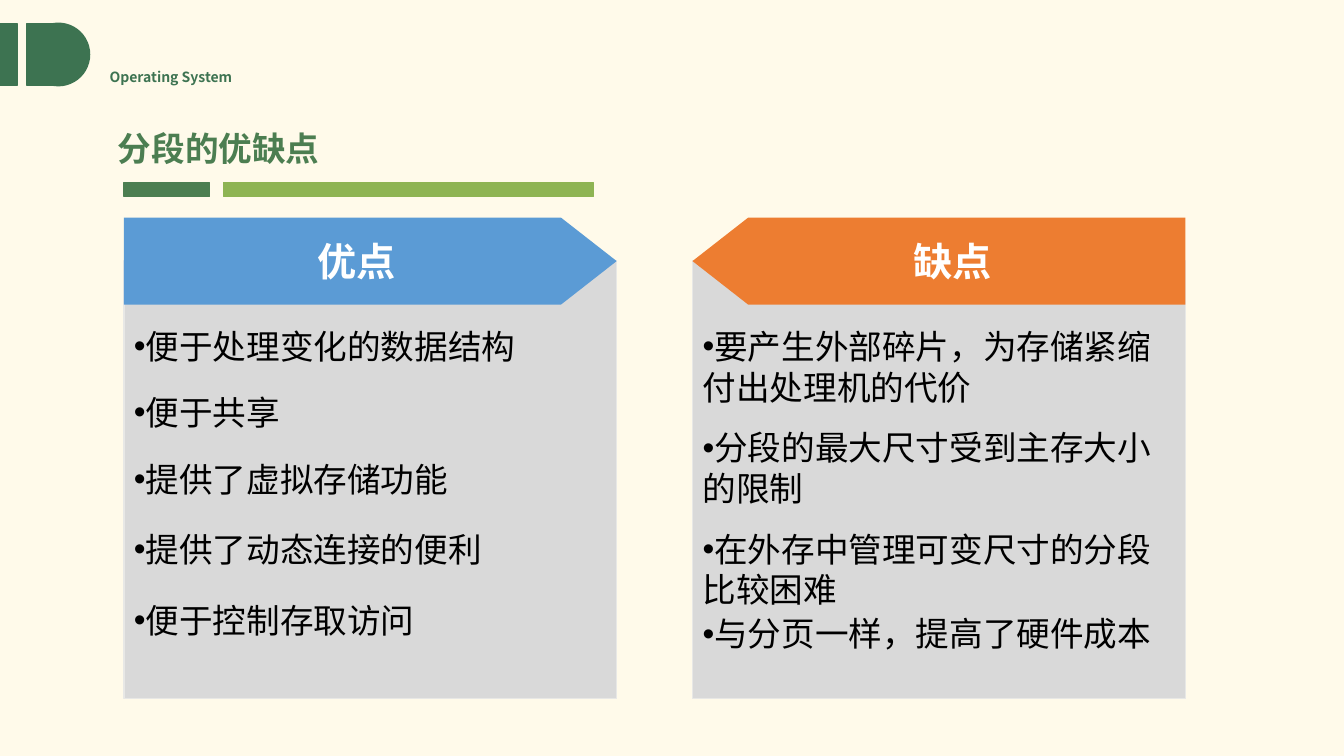
"""Build the slide on the advantages and drawbacks of segmentation."""
from typing import NamedTuple

from lxml import etree
from pptx import Presentation
from pptx.dml.color import RGBColor
from pptx.enum.shapes import MSO_SHAPE
from pptx.enum.text import MSO_ANCHOR, MSO_AUTO_SIZE, PP_ALIGN
from pptx.oxml.ns import qn
from pptx.util import Pt

RECTANGLE, OVAL, PENTAGON = MSO_SHAPE.RECTANGLE, MSO_SHAPE.OVAL, MSO_SHAPE.PENTAGON
TOP, MIDDLE = MSO_ANCHOR.TOP, MSO_ANCHOR.MIDDLE
LEFT, CENTER = PP_ALIGN.LEFT, PP_ALIGN.CENTER
NO_AUTOFIT = MSO_AUTO_SIZE.NONE

CREAM = RGBColor(0xFF, 0xFA, 0xEA)
DEEP_GREEN = RGBColor(0x3D, 0x73, 0x51)
TITLE_GREEN = RGBColor(0x4C, 0x7E, 0x51)
LIGHT_GREEN = RGBColor(0x8E, 0xB4, 0x53)
PANEL_GRAY = RGBColor(0xD9, 0xD9, 0xD9)
PANEL_EDGE = RGBColor(0xE8, 0xE8, 0xE6)
BLUE = RGBColor(0x5B, 0x9B, 0xD5)
ORANGE = RGBColor(0xED, 0x7D, 0x31)
WHITE = RGBColor(0xFF, 0xFF, 0xFF)
BLACK = RGBColor(0, 0, 0)

HEADING_FONT, BODY_FONT = "Noto Sans CJK SC", "Calibri"
PANEL_WIDTH = 352


class Box(NamedTuple):
    left: float
    top: float
    width: float
    height: float


class Block(NamedTuple):
    kind: MSO_SHAPE
    box: Box
    fill: RGBColor
    edge: RGBColor | None


class Point(NamedTuple):
    text: str
    gap: float


class Side(NamedTuple):
    heading: str
    left: float
    color: RGBColor
    flipped: bool
    list_width: float
    points: list[Point]


DECORATIONS = [
    Block(RECTANGLE, Box(0, 16.6, 12.2, 44.6), DEEP_GREEN, DEEP_GREEN),
    Block(RECTANGLE, Box(19.4, 16.6, 19.4, 44.6), DEEP_GREEN, DEEP_GREEN),
    Block(OVAL, Box(19.4, 16.6, 44.6, 44.6), DEEP_GREEN, DEEP_GREEN),
    Block(RECTANGLE, Box(88.5, 130.5, 61.2, 10), TITLE_GREEN, TITLE_GREEN),
    Block(RECTANGLE, Box(159.8, 130.5, 264.2, 10), LIGHT_GREEN, LIGHT_GREEN),
]
SIDES = [
    Side("优点", 88.5, BLUE, False, 316, [
        Point("便于处理变化的数据结构", 0),
        Point("便于共享", 17.8),
        Point("提供了虚拟存储功能", 19.2),
        Point("提供了动态连接的便利", 20.7),
        Point("便于控制存取访问", 22.1),
    ]),
    Side("缺点", 494.7, ORANGE, True, PANEL_WIDTH, [
        Point("要产生外部碎片，为存储紧缩付出处理机的代价", 0),
        Point("分段的最大尺寸受到主存大小的限制", 14.4),
        Point("在外存中管理可变尺寸的分段比较困难", 14.4),
        Point("与分页一样，提高了硬件成本", 2.5),
    ]),
]


def style(paragraph, font_name: str, size: float, color: RGBColor, bold: bool) -> None:
    """Set the font of a whole paragraph."""
    font = paragraph.font
    font.name, font.size, font.bold = font_name, Pt(size), bold
    font.color.rgb = color


def place(shape, box: Box) -> None:
    """Move a placeholder to a box and bring it to the front."""
    shape.left, shape.top, shape.width, shape.height = map(Pt, box)
    shape.element.getparent().append(shape.element)
    frame = shape.text_frame
    frame.auto_size, frame.vertical_anchor = NO_AUTOFIT, TOP


def add_block(slide, block: Block):
    """Add a flat filled shape."""
    shape = slide.shapes.add_shape(block.kind, *map(Pt, block.box))
    shape.shadow.inherit = False
    shape.fill.solid()
    shape.fill.fore_color.rgb = block.fill
    if block.edge is None:
        shape.line.fill.background()
    else:
        shape.line.color.rgb = block.edge
        shape.line.width = Pt(1)
    return shape


def add_heading(slide, side: Side) -> None:
    """Add the arrow-shaped heading of one side."""
    arrow = add_block(slide, Block(PENTAGON, Box(side.left, 155.5, PANEL_WIDTH, 62), side.color, None))
    arrow.adjustments[0] = 0.64
    if side.flipped:
        arrow.element.spPr.find(qn("a:xfrm")).set("flipH", "1")
    frame = arrow.text_frame
    frame.word_wrap, frame.vertical_anchor = False, MIDDLE
    heading = frame.paragraphs[0]
    heading.text, heading.alignment = side.heading, CENTER
    style(heading, HEADING_FONT, 28, WHITE, True)


def fill_list(body, side: Side) -> None:
    """Write the bulleted points of one side."""
    place(body, Box(side.left, 229, side.list_width, 242))
    frame = body.text_frame
    for index, point in enumerate(side.points):
        paragraph = frame.add_paragraph() if index else frame.paragraphs[0]
        paragraph.text, paragraph.alignment = point.text, LEFT
        paragraph.line_spacing = Pt(29)
        paragraph.space_before, paragraph.space_after = Pt(point.gap), Pt(0)
        properties = paragraph._p.get_or_add_pPr()
        properties.set("marL", "0")
        properties.set("indent", "0")
        etree.SubElement(properties, qn("a:buChar")).set("char", "•")
        style(paragraph, BODY_FONT, 24, BLACK, False)


def main() -> None:
    """Build and save the slide."""
    deck = Presentation()
    deck.slide_width, deck.slide_height = Pt(960), Pt(540)
    slide = deck.slides.add_slide(deck.slide_layouts[3])
    slide.background.fill.solid()
    slide.background.fill.fore_color.rgb = CREAM

    for block in DECORATIONS:
        add_block(slide, block)

    course = slide.shapes.add_textbox(Pt(71.3), Pt(45.4), Pt(105.8), Pt(19.4)).text_frame
    course.word_wrap = False
    course.text = "Operating System"
    style(course.paragraphs[0], HEADING_FONT, 10, DEEP_GREEN, True)

    title = slide.shapes.title
    place(title, Box(77, 87.8, 502, 40))
    title.text_frame.text = "分段的优缺点"
    topic = title.text_frame.paragraphs[0]
    topic.alignment = LEFT
    style(topic, HEADING_FONT, 24, TITLE_GREEN, True)

    for number, side in enumerate(SIDES, 1):
        add_block(slide, Block(RECTANGLE, Box(side.left, 186.5, PANEL_WIDTH, 312.5), PANEL_GRAY, PANEL_EDGE))
        add_heading(slide, side)
        fill_list(slide.placeholders[number], side)

    deck.save("out.pptx")


if __name__ == "__main__":
    main()
